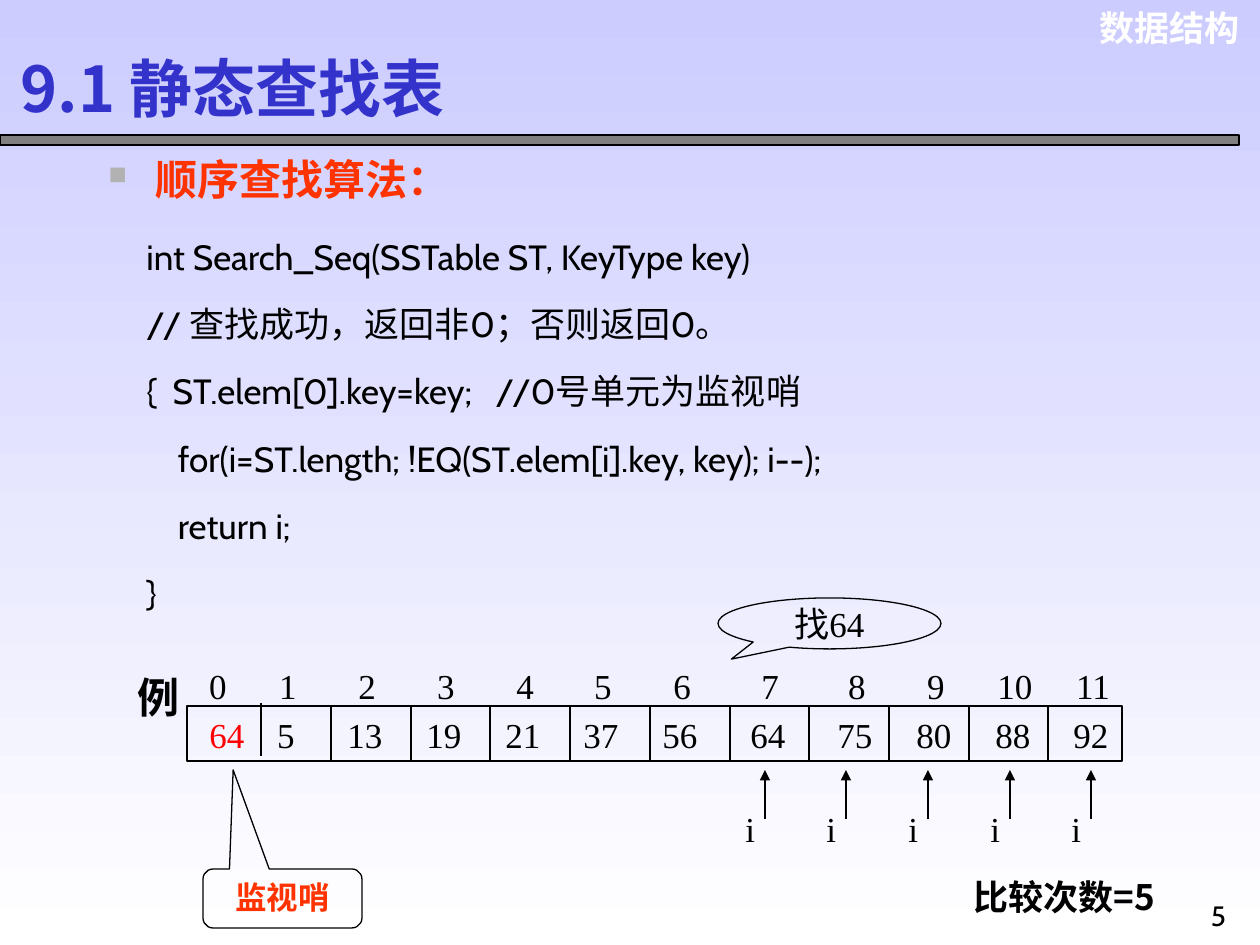
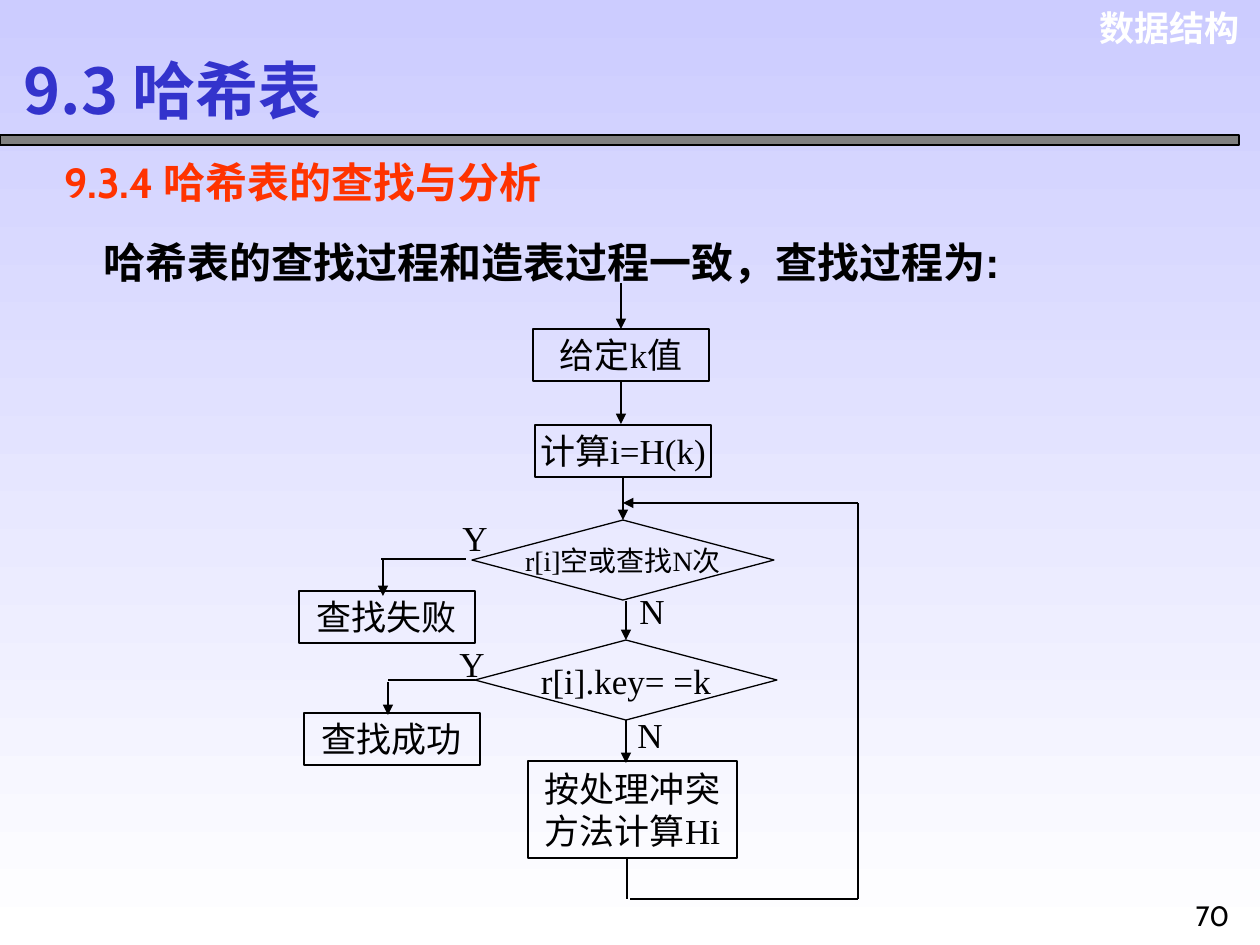
from lxml import etree
from pptx import Presentation
from pptx.dml.color import RGBColor
from pptx.enum.shapes import MSO_CONNECTOR, MSO_SHAPE
from pptx.enum.text import MSO_ANCHOR, PP_ALIGN
from pptx.oxml.ns import qn
from pptx.util import Emu, Pt

PX = 914400 / 126
STRAIGHT = MSO_CONNECTOR.STRAIGHT
RECTANGLE = MSO_SHAPE.RECTANGLE
PROCESS, DECISION = MSO_SHAPE.FLOWCHART_PROCESS, MSO_SHAPE.FLOWCHART_DECISION
SPEECH, SENTINEL_CALLOUT = MSO_SHAPE.OVAL_CALLOUT, MSO_SHAPE.ROUNDED_RECTANGULAR_CALLOUT
LEFT, CENTER, RIGHT = PP_ALIGN.LEFT, PP_ALIGN.CENTER, PP_ALIGN.RIGHT
TOP, MIDDLE = MSO_ANCHOR.TOP, MSO_ANCHOR.MIDDLE
TOP_SIDE, LEFT_SIDE, BOTTOM_SIDE = 0, 1, 2

SERIF, SANS, CABIN, CJK = "Times New Roman", "Arial", "Cabin", "Noto Sans CJK SC"
THEME = {
    "sky": "CCCCFF", "paper": "FFFFFF", "ink": "000000", "band": "808080",
    "bullet": "B2B2B2", "line": Pt(0.75),
    "title": ("3333CC", {"size": Pt(36), "name": CJK, "bold": True}),
    "course": ("FFFFFF", {"size": Pt(20), "name": SANS, "bold": True}),
    "page": ("000000", {"size": Pt(16), "name": CABIN}),
    "topic": ("FF3300", {"size": Pt(24), "name": CJK, "bold": True}),
    "section": ("FF3300", {"size": Pt(24), "name": CABIN, "bold": True}),
    "lead": ("000000", {"size": Pt(24), "name": SANS, "bold": True}),
    "code": ("000000", {"size": Pt(20), "name": CABIN}),
    "body": ("000000", {"size": Pt(20), "name": SERIF}),
    "small": ("000000", {"size": Pt(16), "name": SERIF}),
    "guard": ("FF0000", {"size": Pt(20), "name": SERIF}),
    "sentinel": ("FF3300", {"size": Pt(18), "name": SANS, "bold": True}),
    "example": ("000000", {"size": Pt(24), "name": SERIF, "bold": True}),
    "count": ("000000", {"size": Pt(20), "name": CJK, "bold": True}),
}

COURSE = "数据结构"
SEARCH_CODE = [
    "int Search_Seq(SSTable ST, KeyType key)",
    "// 查找成功，返回非0；否则返回0。",
    "{  ST.elem[0].key=key;   //0号单元为监视哨",
    "    for(i=ST.length; !EQ(ST.elem[i].key, key); i--);",
    "    return i;",
    "}",
]
KEYS = [64, 5, 13, 19, 21, 37, 56, 64, 75, 80, 88, 92]
SLOT_CENTERS = [218, 288, 367, 446, 525, 603, 682, 770, 857, 936, 1015, 1093]
COMPARISONS = 5

STEPS = {
    "given": (PROCESS, (533, 329, 176, 52), ["给定k值"], "body"),
    "hash": (PROCESS, (535, 425, 176, 52), ["计算i=H(k)"], "body"),
    "empty": (DECISION, (472, 520, 302, 80), ["r[i]空或查找N次"], "small"),
    "match": (DECISION, (475, 640, 302, 80), ["r[i].key= =k"], "body"),
    "failure": (PROCESS, (299, 591, 176, 52), ["查找失败"], "body"),
    "success": (PROCESS, (304, 713, 176, 52), ["查找成功"], "body"),
    "rehash": (PROCESS, (528, 761, 209, 97), ["按处理冲突", "方法计算Hi"], "body"),
}
FLOWS = [
    ((621, 283), ("given", TOP_SIDE), True),
    (("given", BOTTOM_SIDE), (621, 424), True),
    (("hash", BOTTOM_SIDE), ("empty", TOP_SIDE), True),
    ((626, 601), ("match", TOP_SIDE), True),
    (("match", BOTTOM_SIDE), (626, 763), True),
    ((466, 559), (381, 559), False),
    ((383, 559), (383, 596), True),
    (("match", LEFT_SIDE), (388, 680), False),
    ((388, 682), (388, 715), True),
    ((627, 858), (627, 899), False),
    ((630, 899), (858, 899), False),
    ((858, 899), (858, 503), False),
    ((858, 503), (623, 503), True),
]
ANSWERS = [("Y", 450, 510), ("N", 627, 583), ("Y", 447, 636), ("N", 625, 707)]


def px(*lengths):
    return [Emu(round(length * PX)) for length in lengths]


def rgb(name):
    return RGBColor.from_string(THEME[name])


def write(frame, lines, style, align=LEFT, anchor=TOP, wrap=True, spacing=None):
    settings = {"word_wrap": wrap, "vertical_anchor": anchor}
    for attribute, value in settings.items():
        setattr(frame, attribute, value)
    color, font_values = THEME[style]
    for number, line in enumerate(lines):
        paragraph = frame.add_paragraph() if number else frame.paragraphs[0]
        for attribute, value in {"alignment": align, "line_spacing": spacing}.items():
            setattr(paragraph, attribute, value)
        run = paragraph.add_run()
        run.text = line
        for attribute, value in font_values.items():
            setattr(run.font, attribute, value)
        run.font.color.rgb = RGBColor.from_string(color)
        etree.SubElement(run.font._element, qn("a:ea"), typeface=CJK)


def label(slide, box, lines, style, **layout):
    frame = slide.shapes.add_textbox(*px(*box)).text_frame
    write(frame, lines, style, **layout)
    return frame.paragraphs[0]


def outline(slide, kind, box, fill=None, adjustments=()):
    shape = slide.shapes.add_shape(kind, *px(*box))
    shape.shadow.inherit = False
    if fill:
        shape.fill.solid()
        shape.fill.fore_color.rgb = rgb(fill)
    else:
        shape.fill.background()
    shape.line.color.rgb = rgb("ink")
    shape.line.width = THEME["line"]
    for number, value in enumerate(adjustments):
        shape.adjustments[number] = value
    return shape


def connect(slide, start, end, arrow=False, steps=None):
    ends = [point if isinstance(point[0], int) else (0, 0) for point in (start, end)]
    connector = slide.shapes.add_connector(STRAIGHT, *px(*ends[0], *ends[1]))
    for point, join in ((start, connector.begin_connect), (end, connector.end_connect)):
        if not isinstance(point[0], int):
            join(steps[point[0]], point[1])
    connector.line.color.rgb = rgb("ink")
    connector.line.width = THEME["line"]
    if arrow:
        etree.SubElement(connector.line._get_or_add_ln(), qn("a:tailEnd"), type="triangle")
    etree.SubElement(connector._element.spPr, qn("a:effectLst"))


def indent(paragraph, margin, hanging=0):
    properties = paragraph._p.get_or_add_pPr()
    properties.set("marL", str(px(margin)[0]))
    properties.set("indent", str(px(-hanging)[0]))
    return properties


def add_bullet(paragraph):
    properties = indent(paragraph, 47, 47)
    color = etree.SubElement(properties, qn("a:buClr"))
    etree.SubElement(color, qn("a:srgbClr"), val=THEME["bullet"])
    etree.SubElement(properties, qn("a:buSzPct"), val="60000")
    etree.SubElement(properties, qn("a:buChar"), char="■")


def paint_background(master):
    fill = master.background.fill
    fill.gradient()
    fill.gradient_angle = 270
    for stop, name, position in zip(fill.gradient_stops, ("sky", "paper"), (0, 1)):
        stop.color.rgb = rgb(name)
        stop.position = position


def start_slide(deck, title, title_box, page, page_box):
    slide = deck.slides.add_slide(deck.slide_layouts[5])
    heading = slide.shapes.title
    for attribute, value in zip(("left", "top", "width", "height"), px(*title_box)):
        setattr(heading, attribute, value)
    write(heading.text_frame, [title], "title", anchor=MIDDLE)
    label(slide, (1080, 0, 172, 55), [COURSE], "course", align=RIGHT)
    outline(slide, RECTANGLE, (0, 135, 1239, 10), "band")
    label(slide, page_box, [page], "page", align=CENTER)
    return slide


def build_sequential_search(deck):
    slide = start_slide(deck, "9.1 静态查找表", (8, 43, 547, 88), "5", (1187, 892, 63, 53))
    add_bullet(label(slide, (96, 147, 480, 63), ["顺序查找算法："], "topic"))
    label(slide, (134, 204, 873, 416), SEARCH_CODE, "code", spacing=1.6)
    label(slide, (125, 665, 77, 63), ["例"], "example")

    outline(slide, RECTANGLE, (187, 706, 935, 55))
    for index, (key, center) in enumerate(zip(KEYS, SLOT_CENTERS)):
        key_center = center - 2 if index else center + 9
        label(slide, (center - 35, 658, 70, 55), [str(index)], "body",
              align=CENTER, anchor=MIDDLE)
        label(slide, (key_center - 35, 707, 70, 55), [str(key)],
              "body" if index else "guard", align=CENTER, anchor=MIDDLE)
    connect(slide, (261, 703), (261, 756))
    for divider in range(len(KEYS) - 2):
        x = round(331 + divider * 79.7)
        connect(slide, (x, 706), (x, 761))

    for pointer in range(COMPARISONS):
        x = round(765 + pointer * 81.5)
        connect(slide, (x, 819), (x, 770), arrow=True)
        label(slide, (x - 32, 801, 34, 55), ["i"], "body")

    target = outline(slide, SPEECH, (718, 598, 223, 51), adjustments=(-0.44, 0.7))
    write(target.text_frame, ["找64"], "body", align=CENTER, anchor=MIDDLE, wrap=False)
    sentinel = outline(slide, SENTINEL_CALLOUT, (203, 869, 159, 59),
                       adjustments=(-0.31, -2.18, 0.17))
    write(sentinel.text_frame, ["监视哨"], "sentinel", align=CENTER)
    label(slide, (961, 869, 229, 55), [f"比较次数={COMPARISONS}"], "count")


def build_hash_search(deck):
    slide = start_slide(deck, "9.3 哈希表", (11, 47, 403, 84), "70", (1175, 892, 75, 53))
    label(slide, (52, 150, 560, 63), ["9.3.4 哈希表的查找与分析"], "section")
    indent(label(slide, (55, 190, 1140, 103),
                 ["哈希表的查找过程和造表过程一致，查找过程为:"], "lead", spacing=1.8), 36)
    steps = {}
    for name, (kind, box, lines, style) in STEPS.items():
        steps[name] = outline(slide, kind, box)
        write(steps[name].text_frame, lines, style, align=CENTER, anchor=MIDDLE, wrap=False)
    for start, end, arrow in FLOWS:
        connect(slide, start, end, arrow, steps)
    for answer, left, top in ANSWERS:
        label(slide, (left, top, 51, 55), [answer], "body")


def main():
    deck = Presentation()
    deck.slide_width, deck.slide_height = px(1260, 945)
    paint_background(deck.slide_master)
    build_sequential_search(deck)
    build_hash_search(deck)
    deck.save("out.pptx")


if __name__ == "__main__":
    main()
